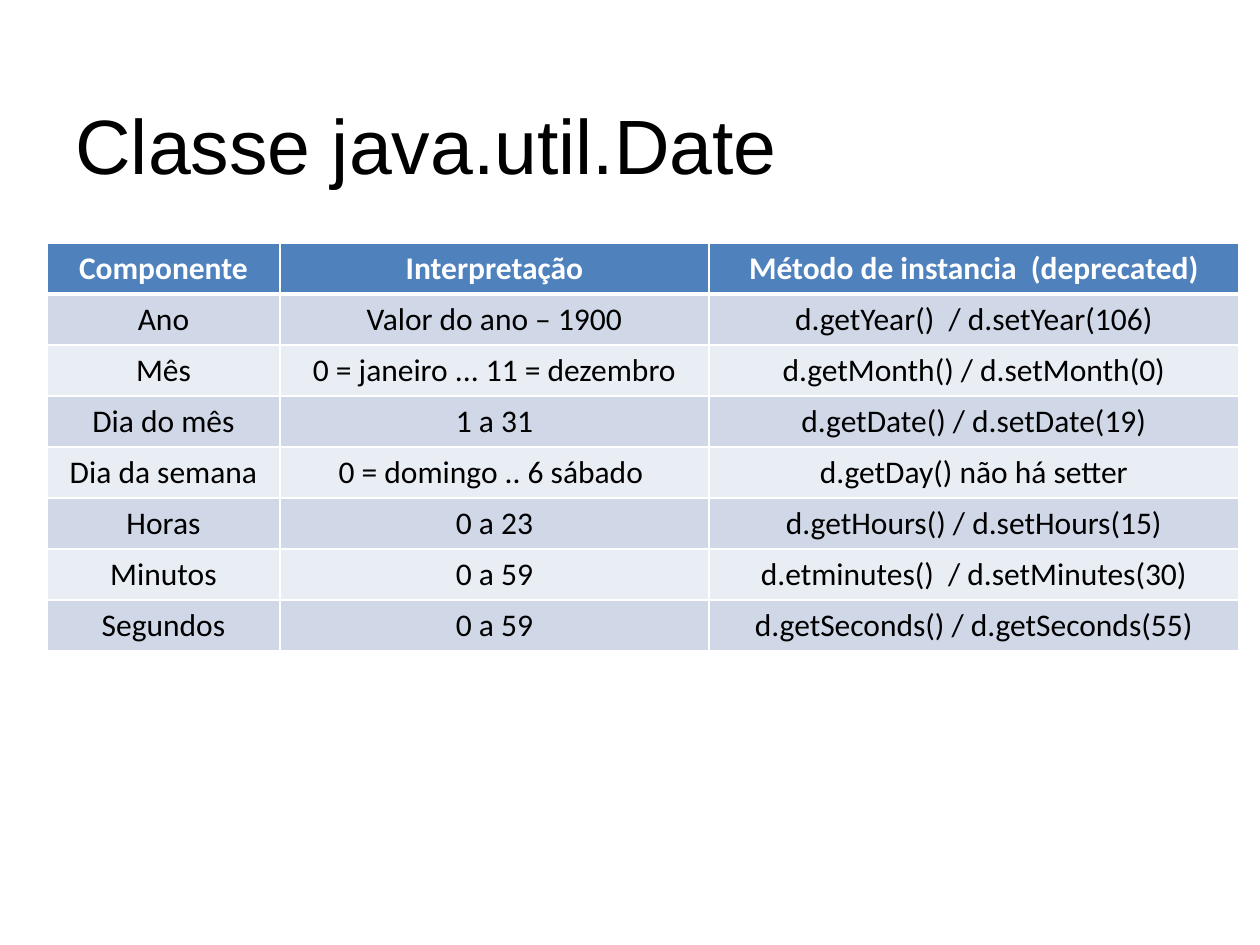
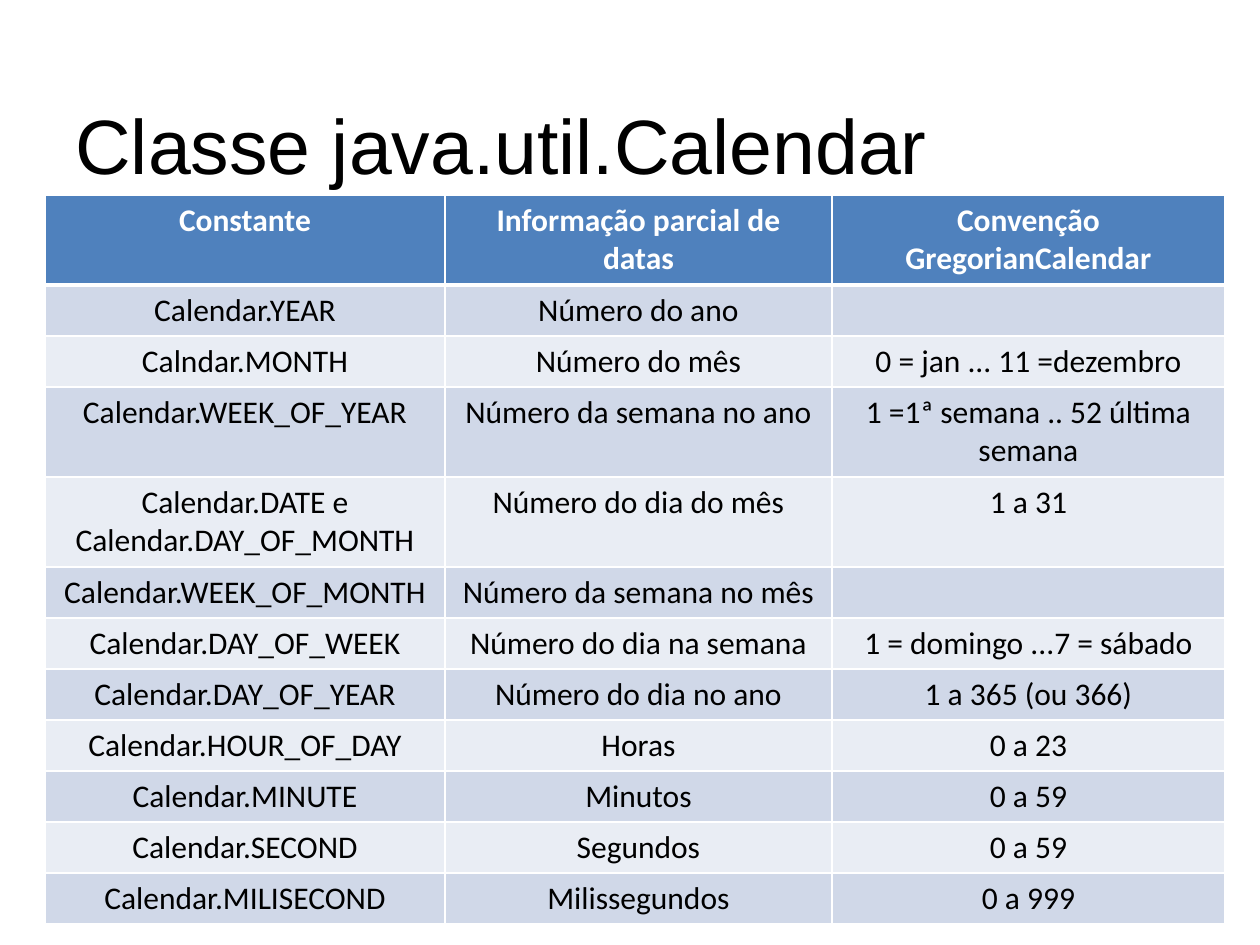
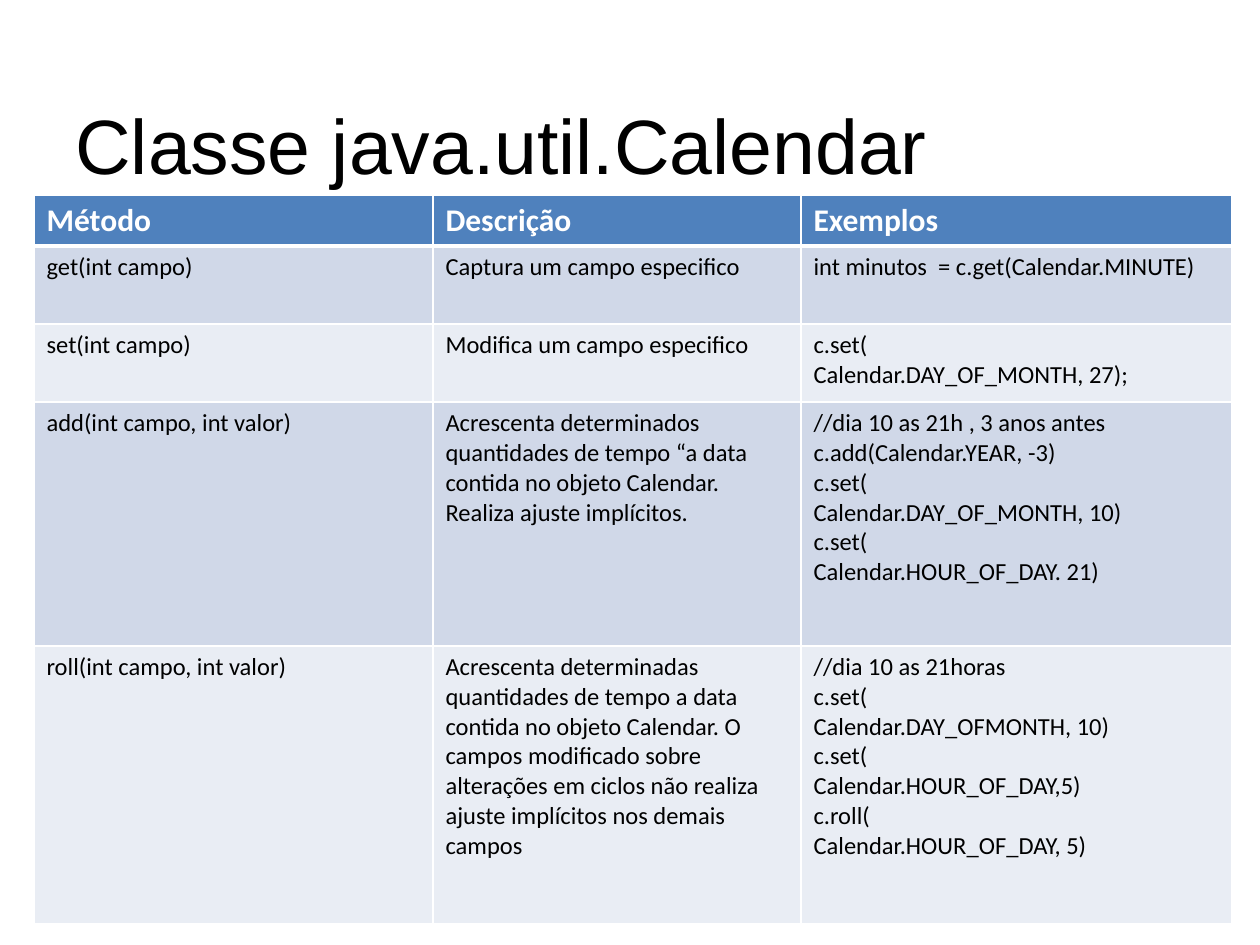
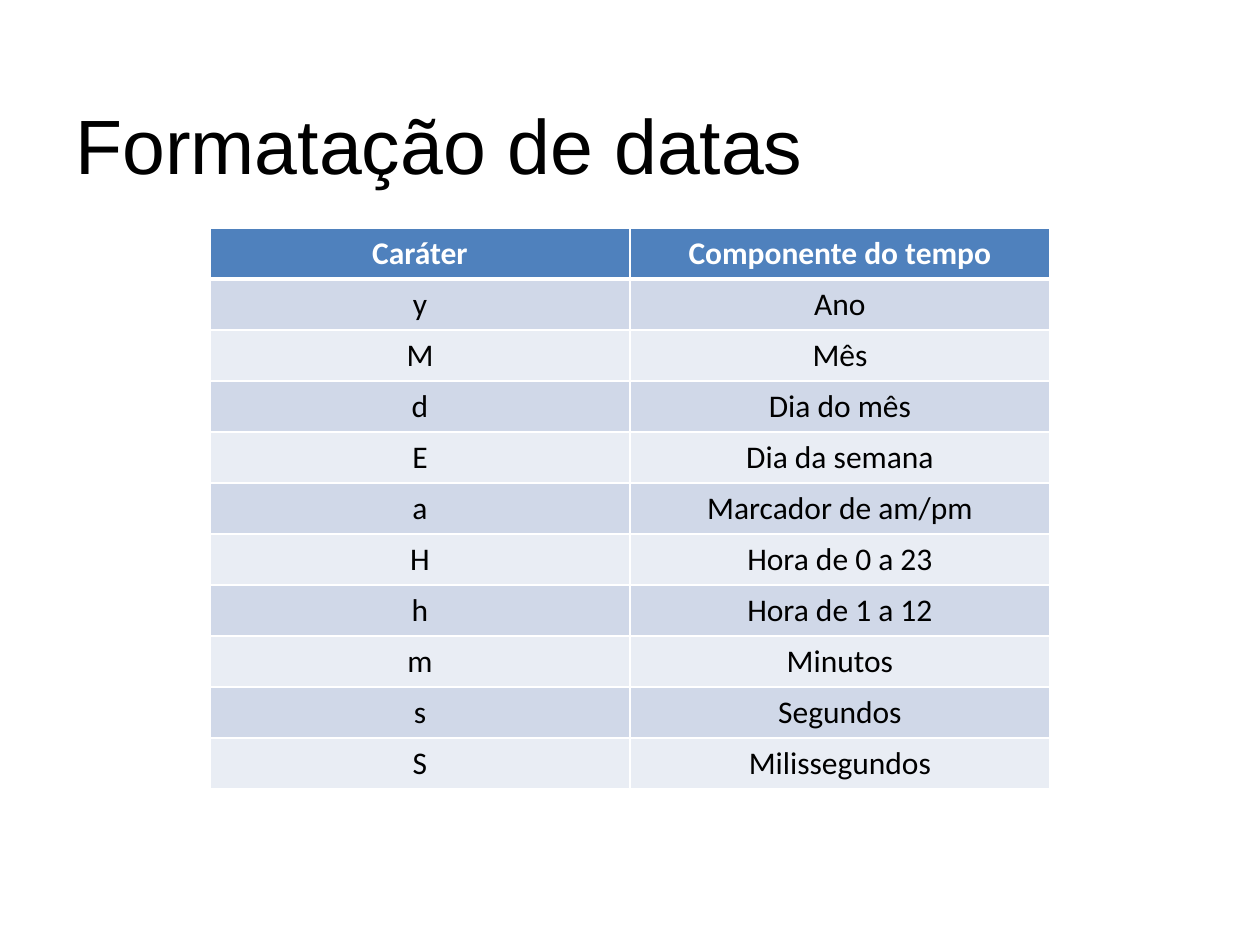
"""Build four slides of Java date tables with python-pptx."""
from dataclasses import dataclass
from typing import Any

from lxml.etree import SubElement as Sub
from pptx import Presentation as Deck
from pptx.dml.color import RGBColor
from pptx.enum.text import MSO_ANCHOR as Anchor, PP_ALIGN as Align
from pptx.oxml.ns import qn
from pptx.util import Emu, Pt

SCALE = 914400 / 126
WHITE = RGBColor(0xFF, 0xFF, 0xFF)
BLACK = RGBColor(0x00, 0x00, 0x00)
BLUE = RGBColor(0x4F, 0x81, 0xBD)
BANDS = (RGBColor(0xE9, 0xED, 0xF4), RGBColor(0xD0, 0xD8, 0xE8))
TITLE = {"name": "Arial", "size": Pt(44), "bold": False}
HEAD = {"name": "Calibri", "size": Pt(18), "bold": True}
BODY = {"name": "Calibri", "size": Pt(18), "bold": False}
SMALL = BODY | {"size": Pt(14)}
BOX = (63, 38, 1134, 158)
ROW = 51
TALL = 90
THIN = 1
THICK = 3


@dataclass(frozen=True)
class Page:
    title: str
    left: int
    top: int
    cols: tuple[int, ...]
    rows: tuple[int, ...]
    cells: tuple[tuple[str, ...], ...]
    body: dict[str, Any]
    align: Align = Align.CENTER


PAGES = (
    Page(
        "Classe java.util.Date", 47, 243, (233, 429, 530), (ROW,) * 8,
        (
            ("Componente", "Interpretação", "Método de instancia  (deprecated)"),
            ("Ano", "Valor do ano – 1900", "d.getYear()  / d.setYear(106)"),
            ("Mês", "0 = janeiro ... 11 = dezembro", "d.getMonth() / d.setMonth(0)"),
            ("Dia do mês", "1 a 31", "d.getDate() / d.setDate(19)"),
            ("Dia da semana", "0 = domingo .. 6 sábado ", "d.getDay() não há setter"),
            ("Horas", "0 a 23", "d.getHours() / d.setHours(15)"),
            ("Minutos", "0 a 59", "d.etminutes()  / d.setMinutes(30)"),
            ("Segundos", "0 a 59", "d.getSeconds() / d.getSeconds(55)"),
        ),
        BODY,
    ),
    Page(
        "Classe java.util.Calendar", 45, 195, (400, 387, 393),
        (TALL, ROW, ROW, TALL, TALL) + (ROW,) * 7,
        (
            ("Constante", "Informação parcial de datas", "Convenção GregorianCalendar"),
            ("Calendar.YEAR", "Número do ano", ""),
            ("Calndar.MONTH", "Número do mês", "0 = jan ... 11 =dezembro"),
            ("Calendar.WEEK_OF_YEAR", "Número da semana no ano",
             "1 =1ª semana .. 52 última semana"),
            ("Calendar.DATE e Calendar.DAY_OF_MONTH", "Número do dia do mês", "1 a 31"),
            ("Calendar.WEEK_OF_MONTH", "Número da semana no mês", ""),
            ("Calendar.DAY_OF_WEEK", "Número do dia na semana", "1 = domingo ...7 = sábado"),
            ("Calendar.DAY_OF_YEAR", "Número do dia no ano", "1 a 365 (ou 366)"),
            ("Calendar.HOUR_OF_DAY", "Horas", "0 a 23"),
            ("Calendar.MINUTE", "Minutos", "0 a 59"),
            ("Calendar.SECOND", "Segundos", "0 a 59"),
            ("Calendar.MILISECOND", "Milissegundos", "0 a 999"),
        ),
        BODY,
    ),
    Page(
        "Classe java.util.Calendar", 34, 195, (399, 368, 431), (ROW, 78, 78, 244, 278),
        (
            ("Método", "Descrição", "Exemplos"),
            ("get(int campo)", "Captura um campo especifico",
             "int minutos  = c.get(Calendar.MINUTE)"),
            ("set(int campo)", "Modifica um campo especifico",
             "c.set(\nCalendar.DAY_OF_MONTH, 27);"),
            ("add(int campo, int valor)",
             "Acrescenta determinados quantidades de tempo “a data contida no objeto "
             "Calendar. Realiza ajuste implícitos.",
             "//dia 10 as 21h , 3 anos antes\nc.add(Calendar.YEAR, -3)\nc.set(\n"
             "Calendar.DAY_OF_MONTH, 10)\nc.set(\nCalendar.HOUR_OF_DAY. 21)"),
            ("roll(int campo, int valor)",
             "Acrescenta determinadas quantidades de tempo a data contida no objeto "
             "Calendar. O campos modificado sobre alterações em ciclos não realiza "
             "ajuste implícitos nos demais campos",
             "//dia 10 as 21horas\nc.set(\nCalendar.DAY_OFMONTH, 10)\nc.set(\n"
             "Calendar.HOUR_OF_DAY,5)\nc.roll(\nCalendar.HOUR_OF_DAY, 5)"),
        ),
        SMALL, Align.LEFT,
    ),
    Page(
        "Formatação de datas", 210, 228, (420, 420), (ROW,) * 11,
        (
            ("Caráter", "Componente do tempo"),
            ("y", "Ano"),
            ("M", "Mês"),
            ("d", "Dia do mês"),
            ("E", "Dia da semana"),
            ("a", "Marcador de am/pm"),
            ("H", "Hora de 0 a 23"),
            ("h", "Hora de 1 a 12"),
            ("m", "Minutos"),
            ("s", "Segundos"),
            ("S", "Milissegundos"),
        ),
        BODY,
    ),
)


def px(size: int) -> Emu:
    """Turn pixels into EMU."""
    return Emu(round(size * SCALE))


def write(frame: Any, text: str, style: dict[str, Any], ink: RGBColor, align: Align) -> None:
    """Fill a text frame, one paragraph a line."""
    frame.text = text
    for para in frame.paragraphs:
        para.alignment = align
        for run in para.runs:
            for key, value in style.items():
                setattr(run.font, key, value)
            run.font.color.rgb = ink


def edge(cell: Any, top: int, base: int) -> None:
    """Draw white borders around a cell, widths in points."""
    props = cell._tc.get_or_add_tcPr()
    for side, width in {"L": THIN, "R": THIN, "T": top, "B": base}.items():
        line = Sub(props, qn(f"a:ln{side}"), w=str(Pt(width)))
        Sub(Sub(line, qn("a:solidFill")), qn("a:srgbClr"), val=str(WHITE))


def head(slide: Any, text: str) -> None:
    """Add the slide title."""
    frame = slide.shapes.add_textbox(*map(px, BOX)).text_frame
    frame.word_wrap = True
    frame.vertical_anchor = Anchor.BOTTOM
    write(frame, text, TITLE, BLACK, Align.LEFT)


def grid(slide: Any, page: Page) -> None:
    """Add the banded table of a page."""
    area = (page.left, page.top, sum(page.cols), sum(page.rows))
    table = slide.shapes.add_table(len(page.rows), len(page.cols), *map(px, area)).table
    table.horz_banding = False
    for col, width in zip(table.columns, page.cols):
        col.width = px(width)
    for row, height in zip(table.rows, page.rows):
        row.height = px(height)
    for i, texts in enumerate(page.cells):
        first = i == 0
        style, ink, fill = (HEAD, WHITE, BLUE) if first else (page.body, BLACK, BANDS[i % 2])
        for j, text in enumerate(texts):
            cell = table.cell(i, j)
            edge(cell, THICK if i == 1 else THIN, THICK if first else THIN)
            cell.fill.solid()
            cell.fill.fore_color.rgb = fill
            write(cell.text_frame, text, style, ink, page.align)


def main() -> None:
    """Build and save the deck."""
    deck = Deck()
    deck.slide_width, deck.slide_height = px(1260), px(945)
    for page in PAGES:
        slide = deck.slides.add_slide(deck.slide_layouts[6])
        head(slide, page.title)
        grid(slide, page)
    deck.save("out.pptx")


if __name__ == "__main__":
    main()
